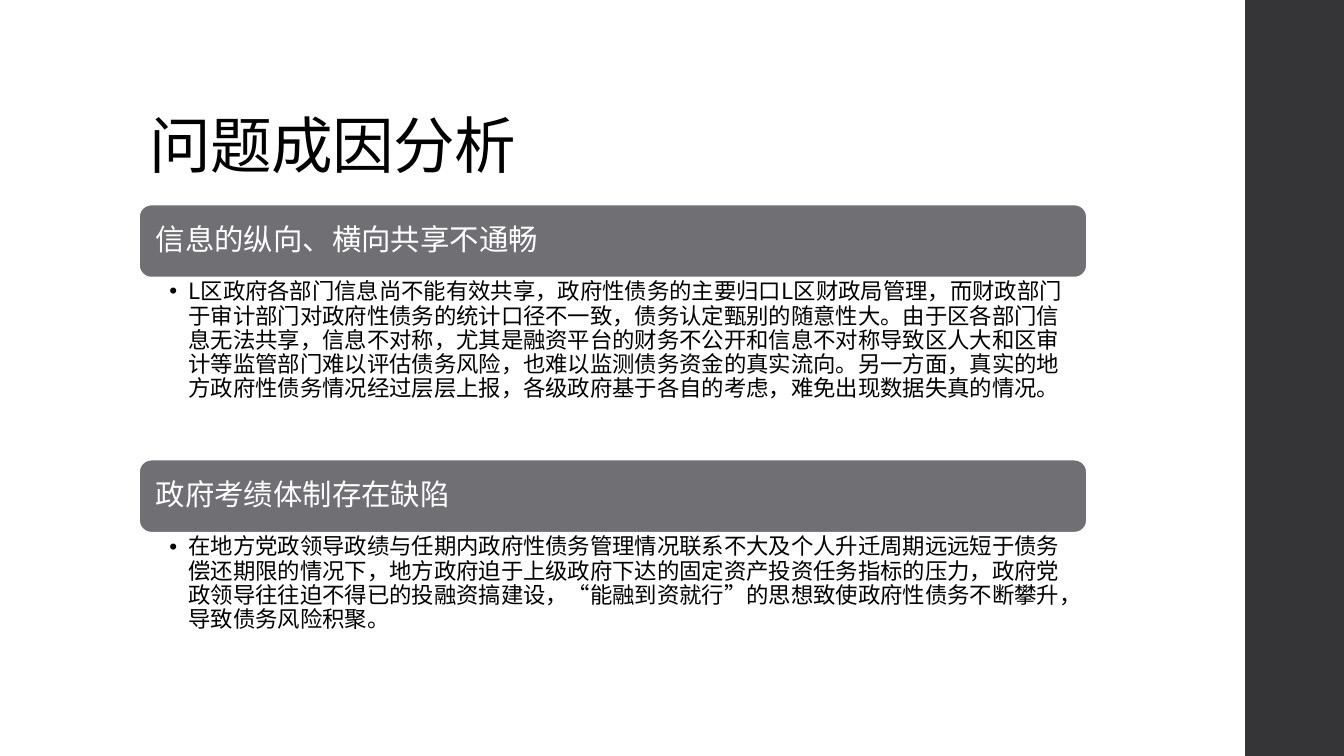
"""Build a slide on the causes of the problem: two headed sections beside a dark side band."""
from dataclasses import dataclass

from lxml import etree
from pptx import Presentation
from pptx import util as u
from pptx.dml.color import RGBColor
from pptx.enum import shapes, text
from pptx.oxml.ns import qn


@dataclass(frozen=True)
class Theme:
    font: str = "Noto Sans CJK SC"
    ink: str = "000000"
    paper: str = "FFFFFF"
    header: str = "6F6F74"
    band: str = "353537"
    title_size: float = 44
    header_size: float = 21
    body_size: float = 16
    line_spacing: float = 0.9


@dataclass(frozen=True)
class Box:
    left: float
    top: float
    width: float
    height: float

    def lengths(self) -> tuple:
        return tuple(u.Inches(n) for n in (self.left, self.top, self.width, self.height))


@dataclass(frozen=True)
class Section:
    heading: str
    body: str
    body_rows: int


THEME = Theme()
SLIDE_WIDTH, SLIDE_HEIGHT = 13.33, 7.5
LEFT, WIDTH = 1.38, 9.4
SECTIONS_TOP, SECTIONS_HEIGHT = 2.03, 4.7
HEADER_ROWS = 2
BULLET_INDENT = u.Inches(0.19)

SECTIONS = (
    Section(
        "信息的纵向、横向共享不通畅",
        "L区政府各部门信息尚不能有效共享，政府性债务的主要归口L区财政局管理，而财政部门于审计部门对"
        "政府性债务的统计口径不一致，债务认定甄别的随意性大。由于区各部门信息无法共享，信息不对称，"
        "尤其是融资平台的财务不公开和信息不对称导致区人大和区审计等监管部门难以评估债务风险，也难以"
        "监测债务资金的真实流向。另一方面，真实的地方政府性债务情况经过层层上报，各级政府基于各自的"
        "考虑，难免出现数据失真的情况。",
        5,
    ),
    Section(
        "政府考绩体制存在缺陷",
        "在地方党政领导政绩与任期内政府性债务管理情况联系不大及个人升迁周期远远短于债务偿还期限的"
        "情况下，地方政府迫于上级政府下达的固定资产投资任务指标的压力，政府党政领导往往迫不得已的"
        "投融资搞建设，“能融到资就行”的思想致使政府性债务不断攀升，导致债务风险积聚。",
        4,
    ),
)
ROW = SECTIONS_HEIGHT / sum(HEADER_ROWS + section.body_rows for section in SECTIONS)


def place(shape, box: Box) -> None:
    shape.left, shape.top, shape.width, shape.height = box.lengths()


def write(shape, wording: str, size: float, color: str, anchor, insets: tuple):
    frame = shape.text_frame
    frame.text = wording
    frame.word_wrap = True
    frame.auto_size = text.MSO_AUTO_SIZE.NONE
    frame.vertical_anchor = anchor
    frame.margin_left, frame.margin_top, frame.margin_right, frame.margin_bottom = map(u.Inches, insets)
    paragraph = frame.paragraphs[0]
    paragraph.alignment = text.PP_ALIGN.LEFT
    paragraph.line_spacing = THEME.line_spacing
    paragraph.space_before = u.Pt(0)
    paragraph.font.size = u.Pt(size)
    paragraph.font.color.rgb = RGBColor.from_string(color)
    paragraph.font.name = THEME.font
    properties = paragraph._p.pPr.find(qn("a:defRPr"))
    etree.SubElement(properties, qn("a:ea")).set("typeface", THEME.font)
    return paragraph


def add_block(slide, preset, box: Box, color: str):
    shape = slide.shapes.add_shape(preset, *box.lengths())
    shape.shadow.inherit = False
    shape.fill.solid()
    shape.fill.fore_color.rgb = RGBColor.from_string(color)
    shape.line.fill.background()
    return shape


def add_section(slide, section: Section, placeholder, top: float) -> float:
    header_height = HEADER_ROWS * ROW
    body_height = section.body_rows * ROW
    header = add_block(slide, shapes.MSO_SHAPE.ROUNDED_RECTANGLE,
                       Box(LEFT, top, WIDTH, header_height), THEME.header)
    header.line.color.rgb = RGBColor.from_string(THEME.paper)
    header.line.width = u.Pt(1.1)
    write(header, section.heading, THEME.header_size, THEME.paper,
          text.MSO_ANCHOR.MIDDLE, (0.13, 0.09, 0.13, 0.09))

    place(placeholder, Box(LEFT, top + header_height, WIDTH, body_height))
    paragraph = write(placeholder, section.body, THEME.body_size, THEME.ink,
                      text.MSO_ANCHOR.TOP, (0.3, 0.03, 0.16, 0.03))
    properties = paragraph._p.pPr
    properties.set("marL", str(BULLET_INDENT))
    properties.set("indent", str(-BULLET_INDENT))
    bullet = etree.Element(qn("a:buChar"), char="•")
    properties.find(qn("a:defRPr")).addprevious(bullet)
    return top + header_height + body_height


def main() -> None:
    presentation = Presentation()
    presentation.slide_width = u.Inches(SLIDE_WIDTH)
    presentation.slide_height = u.Inches(SLIDE_HEIGHT)
    slide = presentation.slides.add_slide(presentation.slide_layouts.get_by_name("Two Content"))
    title, *bodies = slide.placeholders

    add_block(slide, shapes.MSO_SHAPE.RECTANGLE,
              Box(12.35, 0, SLIDE_WIDTH - 12.35, SLIDE_HEIGHT), THEME.band)
    place(title, Box(LEFT, 0.4, 10.6, 1.45))
    paragraph = write(title, "问题成因分析", THEME.title_size, THEME.ink,
                      text.MSO_ANCHOR.BOTTOM, (0.1, 0.05, 0.1, 0.05))
    paragraph._p.pPr.find(qn("a:defRPr")).set("spc", "-50")

    top = SECTIONS_TOP
    for section, placeholder in zip(SECTIONS, bodies):
        top = add_section(slide, section, placeholder, top)
    presentation.save("out.pptx")


main()
